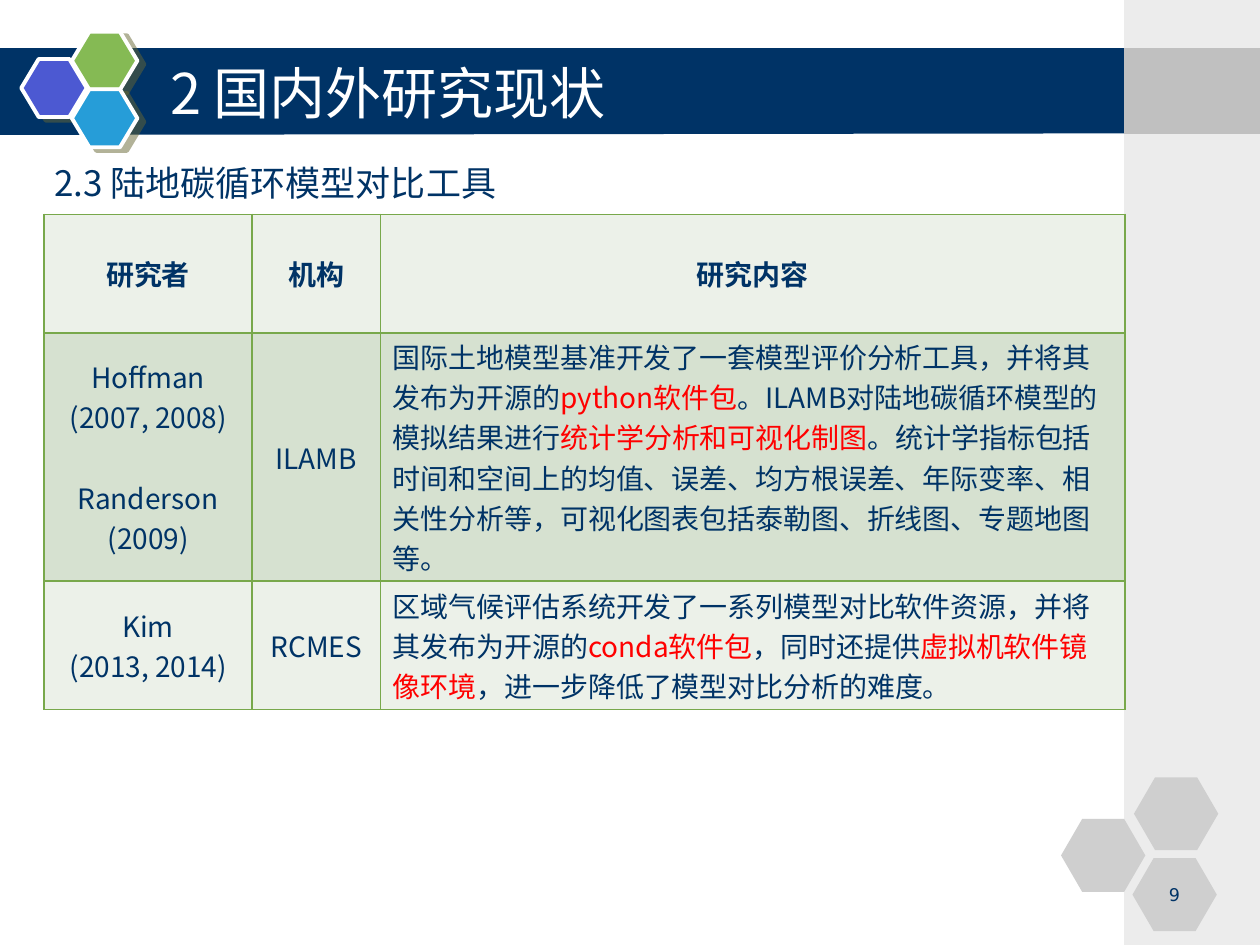
from dataclasses import dataclass

from lxml.etree import SubElement
from pptx import Presentation
from pptx.dml.color import RGBColor
from pptx.enum.shapes import MSO_SHAPE
from pptx.enum.text import MSO_ANCHOR, PP_ALIGN
from pptx.oxml import parse_xml
from pptx.oxml.ns import nsdecls, qn
from pptx.util import Cm, Pt


@dataclass(frozen=True)
class Theme:
    """Colours, fonts and type sizes of the deck."""
    navy: str = "003366"
    white: str = "FFFFFF"
    red: str = "FF0000"
    violet: str = "4C59D2"
    green: str = "85BA54"
    blue: str = "269DD8"
    shadow: str = "666633"
    sidebar: str = "ECECEC"
    sidebar_band: str = "C0C0C0"
    grey: str = "CFCFCF"
    border: str = "78A84B"
    light_row: str = "ECF1E9"
    dark_row: str = "D6E1D0"
    font: str = "Noto Sans CJK SC"
    number_font: str = "DejaVu Sans"
    title_size: int = 32
    heading_size: int = 20
    table_size: int = 16
    number_size: int = 10


THEME = Theme()

HEADERS = ["研究者", "机构", "研究内容"]
TOOLS = [
    (
        ["Hoffman", "(2007, 2008)", "Randerson", "(2009)"],
        "ILAMB",
        [
            ("国际土地模型基准开发了一套模型评价分析工具，并将其发布为开源的", THEME.navy),
            ("python软件包", THEME.red),
            ("。ILAMB对陆地碳循环模型的模拟结果进行", THEME.navy),
            ("统计学分析和可视化制图", THEME.red),
            ("。统计学指标包括时间和空间上的均值、误差、均方根误差、年际变率、"
             "相关性分析等，可视化图表包括泰勒图、折线图、专题地图等。", THEME.navy),
        ],
        THEME.dark_row,
    ),
    (
        ["Kim", "(2013, 2014)"],
        "RCMES",
        [
            ("区域气候评估系统开发了一系列模型对比软件资源，并将其发布为开源的", THEME.navy),
            ("conda软件包", THEME.red),
            ("，同时还提供", THEME.navy),
            ("虚拟机软件镜像环境", THEME.red),
            ("，进一步降低了模型对比分析的难度。", THEME.navy),
        ],
        THEME.light_row,
    ),
]


def add_span(para, text, size, color=THEME.navy, bold=False, font=THEME.font):
    """Add one formatted run to a paragraph."""
    span = para.add_run()
    span.text = text
    span.font.size = Pt(size)
    span.font.bold = bold
    span.font.name = font
    span.font.color.rgb = RGBColor.from_string(color)
    SubElement(span.font._element, qn("a:ea"), typeface=font)


def add_text(page, left, top, width, height, text, size, **style):
    """Add a wrapped one-line text box and return it."""
    box = page.shapes.add_textbox(Cm(left), Cm(top), Cm(width), Cm(height))
    box.text_frame.word_wrap = True
    add_span(box.text_frame.paragraphs[0], text, size, **style)
    return box


def paint(shape, color):
    """Give a shape a plain fill with no outline or shadow."""
    shape.fill.solid()
    shape.fill.fore_color.rgb = RGBColor.from_string(color)
    shape.line.fill.background()
    shape.shadow.inherit = False


def add_block(page, left, top, width, height, color, kind=MSO_SHAPE.RECTANGLE):
    """Add a plain preset shape."""
    block = page.shapes.add_shape(kind, Cm(left), Cm(top), Cm(width), Cm(height))
    paint(block, color)
    return block


def add_emblem_hexagon(page, left, top, color):
    """Add a coloured hexagon with a white outline and an offset shadow."""
    hexagon = add_block(page, left, top, 1.32, 1.17, color, MSO_SHAPE.HEXAGON)
    hexagon.adjustments[0] = 0.3
    hexagon.line.color.rgb = RGBColor.from_string(THEME.white)
    hexagon.line.width = Pt(2.25)
    effects = hexagon._element.spPr.find(qn("a:effectLst"))
    effects.append(parse_xml(
        f'<a:outerShdw {nsdecls("a")} blurRad="0" dist="{Pt(4.5)}" dir="1620000" '
        f'algn="ctr" rotWithShape="0"><a:srgbClr val="{THEME.shadow}">'
        '<a:alpha val="50000"/></a:srgbClr></a:outerShdw>'
    ))


def add_title_band(page):
    """Draw the slightly tapered band behind the title."""
    corners = [(22.71, 0.97), (22.68, 2.69), (-0.08, 2.72)]
    builder = page.shapes.build_freeform(Cm(-0.08), Cm(0.97))
    builder.add_line_segments([(Cm(x), Cm(y)) for x, y in corners], close=True)
    paint(builder.convert_to_shape(), THEME.navy)


def format_cell(cell, color):
    """Set the fill, margins, anchor and borders of a cell."""
    cell.fill.solid()
    cell.fill.fore_color.rgb = RGBColor.from_string(color)
    cell.vertical_anchor = MSO_ANCHOR.MIDDLE
    cell.margin_left = cell.margin_right = Cm(0.25)
    cell.margin_top = cell.margin_bottom = Cm(0)
    properties = cell._tc.get_or_add_tcPr()
    for index, side in enumerate(("lnL", "lnR", "lnT", "lnB")):
        properties.insert(index, parse_xml(
            f'<a:{side} {nsdecls("a")} w="{Pt(1)}"><a:solidFill>'
            f'<a:srgbClr val="{THEME.border}"/></a:solidFill></a:{side}>'
        ))


def write_lines(cell, lines, bold=False):
    """Write centred lines, with a gap before each later name."""
    for index, line in enumerate(lines):
        para = cell.text_frame.add_paragraph() if index else cell.text_frame.paragraphs[0]
        para.alignment = PP_ALIGN.CENTER
        if index and not line.startswith("("):
            para.space_before = Pt(23)
        add_span(para, line, THEME.table_size, bold=bold)


def add_tools_table(page):
    """Add the table of model comparison tools."""
    widths, heights = [4.19, 2.59, 15.01], [2.39, 5, 2.59]
    table = page.shapes.add_table(
        len(heights), len(widths), Cm(0.89), Cm(4.32), Cm(sum(widths)), Cm(sum(heights))
    ).table
    table.first_row = table.horz_banding = False
    for column, width in zip(table.columns, widths):
        column.width = Cm(width)
    for row, height in zip(table.rows, heights):
        row.height = Cm(height)
    for cell, header in zip(table.rows[0].cells, HEADERS):
        format_cell(cell, THEME.light_row)
        write_lines(cell, [header], bold=True)
    for number, (authors, tool, content, color) in enumerate(TOOLS, 1):
        cells = list(table.rows[number].cells)
        for cell in cells:
            format_cell(cell, color)
        write_lines(cells[0], authors)
        write_lines(cells[1], [tool])
        for text, text_color in content:
            add_span(cells[2].text_frame.paragraphs[0], text, THEME.table_size, text_color)


def main():
    """Build the slide and save the deck."""
    deck = Presentation()
    deck.slide_width, deck.slide_height = Cm(25.4), Cm(19.05)
    page = deck.slides.add_slide(deck.slide_layouts[6])
    add_title_band(page)
    for left, top, color in [(0.43, 1.19, THEME.violet), (1.45, 0.64, THEME.green),
                             (1.45, 1.8, THEME.blue)]:
        add_emblem_hexagon(page, left, top, color)
    add_block(page, 22.66, 0, 2.74, 19.05, THEME.sidebar)
    add_block(page, 22.66, 0.97, 2.74, 1.73, THEME.sidebar_band)
    for left, top in [(21.39, 16.51), (22.86, 15.67), (22.83, 17.3)]:
        hexagon = add_block(page, left, top, 1.7, 1.47, THEME.grey, MSO_SHAPE.HEXAGON)
        hexagon.adjustments[0] = 0.29
    title = add_text(page, 3.18, 1.07, 18.85, 1.57, "2 国内外研究现状",
                     THEME.title_size, color=THEME.white)
    title.text_frame.vertical_anchor = MSO_ANCHOR.MIDDLE
    heading = add_text(page, 0.84, 2.97, 19.05, 1.55, "2.3 陆地碳循环模型对比工具",
                       THEME.heading_size)
    heading.text_frame.paragraphs[0].line_spacing = 1.2
    add_tools_table(page)
    number = add_text(page, 23.04, 17.7, 1.27, 0.64, "9", THEME.number_size,
                      font=THEME.number_font)
    number.text_frame.paragraphs[0].alignment = PP_ALIGN.CENTER
    deck.save("out.pptx")


if __name__ == "__main__":
    main()
